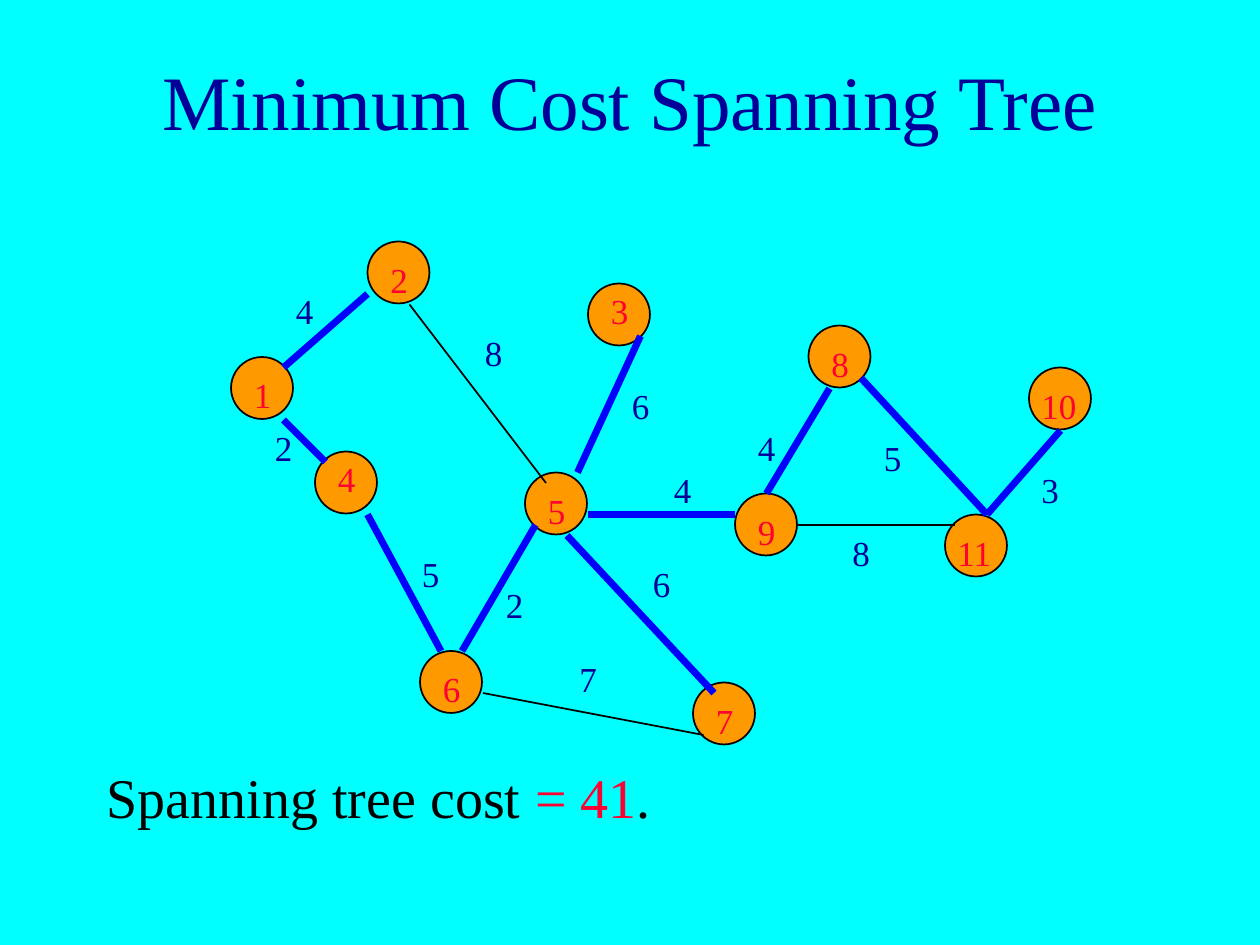
"""Builds a slide showing a weighted graph and its minimum cost spanning tree."""
from lxml import etree
from pptx import Presentation, util as u
from pptx.dml.color import RGBColor
from pptx.enum import shapes, text
from pptx.oxml.ns import qn

TITLE = "Minimum Cost Spanning Tree"
COST = [("Spanning tree cost ", "black"), ("= 41", "red"), (".", "black")]
COLORS = {"background": "00FFFF", "navy": "000099", "black": "000000",
          "red": "FF0033", "node": "FF9900", "tree": "0000FF"}
FONT = "Times New Roman"
COLUMNS, ROWS = 120, 90
NODE_SIZE = 5.9
LABEL_HEIGHT = 5.15

# name, node cell, label offset, label width
NODES = [
    ("1", (22, 34), (1, 1), 3), ("2", (35, 23), (1, 1), 3),
    ("3", (56, 27), (1, 0), 3), ("8", (77, 31), (1, 1), 3),
    ("10", (98, 35), (0, 1), 6), ("4", (30, 43), (1, 0), 3),
    ("5", (50, 45), (1, 1), 3), ("9", (70, 47), (1, 1), 3),
    ("11", (90, 49), (0, 1), 10), ("6", (40, 62), (1, 1), 3),
    ("7", (66, 65), (1, 1), 3),
]
# cost, start cell, end cell, label cell, in tree
EDGES = [
    ("4", (35, 28), (27, 35), (27, 27), True),
    ("8", (39, 29), (52, 46), (45, 31), False),
    ("2", (27, 40), (31, 44), (25, 40), True),
    ("5", (35, 49), (42, 62), (39, 52), True),
    ("7", (46, 66), (67, 70), (54, 62), False),
    ("6", (61, 32), (55, 45), (59, 36), True),
    ("6", (54, 51), (68, 66), (61, 53), True),
    ("4", (79, 37), (73, 47), (71, 40), True),
    ("5", (82, 36), (94, 49), (83, 41), True),
    ("3", (94, 49), (101, 41), (98, 44), True),
    ("4", (56, 49), (70, 49), (63, 44), True),
    ("8", (76, 50), (91, 50), (80, 50), False),
    ("2", (51, 50), (44, 62), (47, 55), True),
]

deck = Presentation()
deck.slide_width, deck.slide_height = u.Inches(10), u.Inches(7.5)
page = deck.slides.add_slide(deck.slide_layouts[6])


def color(name):
    return RGBColor.from_string(COLORS[name])


def grid(*cells):
    """Turns alternating column and row counts into slide lengths."""
    units = (deck.slide_width / COLUMNS, deck.slide_height / ROWS)
    return [round(cell * units[index % 2]) for index, cell in enumerate(cells)]


def add_text(spans, cells, size=20, before=12.5, align=text.PP_ALIGN.LEFT,
             anchor=text.MSO_ANCHOR.TOP, fit=text.MSO_AUTO_SIZE.SHAPE_TO_FIT_TEXT,
             hanging=0):
    frame = page.shapes.add_textbox(*grid(*cells)).text_frame
    frame.word_wrap, frame.auto_size, frame.vertical_anchor = True, fit, anchor
    para = frame.paragraphs[0]
    para.alignment, para.space_before = align, u.Pt(before)
    if hanging:
        indent = u.Inches(hanging)
        para._p.get_or_add_pPr().set("marL", str(indent))
        para._p.get_or_add_pPr().set("indent", str(-indent))
    for words, shade in spans:
        span = para.add_run()
        span.text = words
        span.font.name, span.font.size = FONT, u.Pt(size)
        span.font.color.rgb = color(shade)


def add_node(cell):
    node = page.shapes.add_shape(shapes.MSO_SHAPE.OVAL,
                                 *grid(*cell, NODE_SIZE, NODE_SIZE))
    node.shadow.inherit = False
    node.fill.solid()
    node.fill.fore_color.rgb = color("node")
    node.line.color.rgb = color("black")
    node.line.width = u.Pt(1)


def add_edge(start, end, in_tree):
    edge = page.shapes.add_connector(shapes.MSO_CONNECTOR.STRAIGHT,
                                     *grid(*start, *end))
    edge.line.color.rgb = color("tree" if in_tree else "black")
    edge.line.width = u.Pt(4 if in_tree else 1)
    etree.SubElement(edge._element.spPr, qn("a:effectLst"))


page.background.fill.solid()
page.background.fill.fore_color.rgb = color("background")
add_text([(TITLE, "navy")], (9, 2, 102, 15), size=44, before=0,
         align=text.PP_ALIGN.CENTER, anchor=text.MSO_ANCHOR.MIDDLE,
         fit=text.MSO_AUTO_SIZE.NONE)
add_text(COST, (9, 72, 102, 15), size=32, before=8,
         fit=text.MSO_AUTO_SIZE.NONE, hanging=0.38)
for name, cell, offset, width in NODES:
    add_node(cell)
for cost, start, end, spot, in_tree in EDGES:
    add_edge(start, end, in_tree)
for name, (column, row), (right, down), width in NODES:
    add_text([(name, "red")], (column + right, row + down, width, LABEL_HEIGHT))
for cost, start, end, spot, in_tree in EDGES:
    add_text([(cost, "navy")], (*spot, 4, LABEL_HEIGHT))
deck.save("out.pptx")
